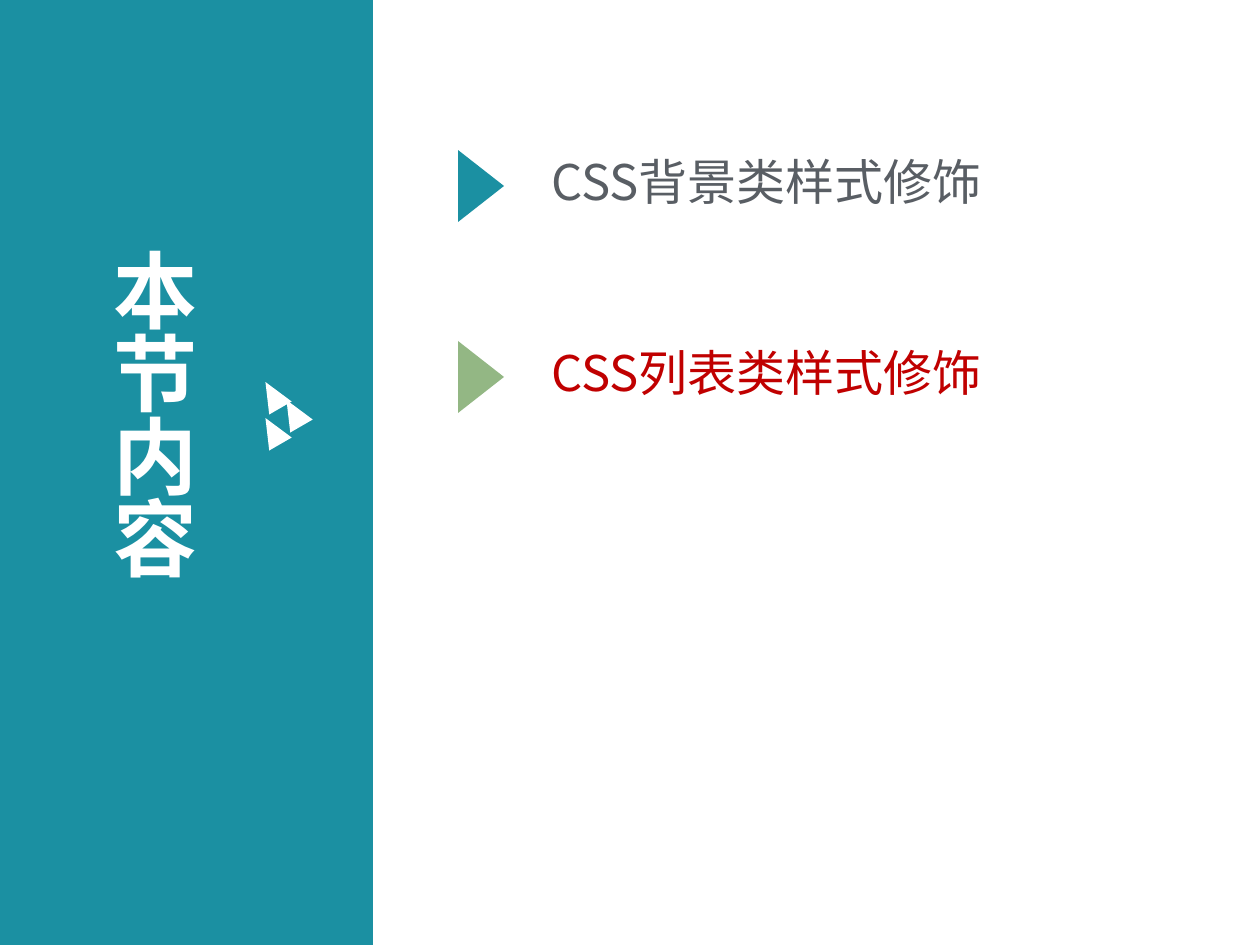
import pptx
import pptx.util
import pptx.dml.color
import pptx.enum.shapes
import pptx.enum.text
import pptx.oxml

PX = 914400 / 126
FONT = "Noto Sans CJK SC"
TEAL = pptx.dml.color.RGBColor(0x1B, 0x90, 0xA2)
GREEN = pptx.dml.color.RGBColor(0x93, 0xB7, 0x84)
GRAY = pptx.dml.color.RGBColor(0x59, 0x5E, 0x64)
RED = pptx.dml.color.RGBColor(0xC0, 0x00, 0x00)
WHITE = pptx.dml.color.RGBColor(0xFF, 0xFF, 0xFF)
SHAPES = pptx.enum.shapes.MSO_SHAPE


def emu(*lengths):
    return [pptx.util.Emu(round(length * PX)) for length in lengths]


def add_filled(slide, kind, box, color, rotation=0):
    shape = slide.shapes.add_shape(kind, *emu(*box))
    shape.rotation = rotation
    shape.shadow.inherit = False
    shape.fill.solid()
    shape.fill.fore_color.rgb = color
    shape.line.fill.background()


def write_text(shape, text, size, color, bold=False):
    frame = shape.text_frame
    frame.word_wrap = True
    frame.auto_size = pptx.enum.text.MSO_AUTO_SIZE.NONE
    frame.vertical_anchor = pptx.enum.text.MSO_ANCHOR.MIDDLE
    frame.text = text
    paragraph = frame.paragraphs[0]
    paragraph.alignment = pptx.enum.text.PP_ALIGN.LEFT
    paragraph.line_spacing = 0.82
    for font in (paragraph.font, paragraph.runs[0].font):
        font.name = FONT
    paragraph.font.size = pptx.util.Pt(size)
    paragraph.font.bold = bold
    paragraph.font.color.rgb = color
    properties = paragraph.runs[0]._r.get_or_add_rPr()
    east_asian = pptx.oxml.parse_xml(
        '<a:ea xmlns:a="http://schemas.openxmlformats.org/drawingml/2006/main"'
        f' typeface="{FONT}"/>')
    properties.append(east_asian)


def add_title_panel(slide, left, top, width, height):
    add_filled(slide, SHAPES.RECTANGLE, (left, top, width, height), TEAL)
    title = slide.shapes.title
    title.left, title.top, title.width, title.height = emu(left + 101, top + 212, 165, 420)
    write_text(title, "本节内容", 48, WHITE, True)
    slide.shapes._spTree.append(title._element)
    for x, y in ((260, 380), (260, 416), (281, 398)):
        add_filled(slide, SHAPES.ISOSCELES_TRIANGLE, (left + x, top + y, 26, 30), WHITE, 330)


def add_topic(slide, left, top, width, height, text, text_color, arrow_color):
    add_filled(slide, SHAPES.ISOSCELES_TRIANGLE,
               (left - 12, top + (height - 46) // 2, 72, 46), arrow_color, 90)
    label = slide.shapes.add_textbox(*emu(left + 82, top, width - 82, height))
    write_text(label, text, 28, text_color)


def main():
    presentation = pptx.Presentation()
    presentation.slide_width, presentation.slide_height = emu(1260, 945)
    slide = presentation.slides.add_slide(presentation.slide_layouts[5])
    add_title_panel(slide, 0, 0, 373, 945)
    topics = (("CSS背景类样式修饰", GRAY, TEAL), ("CSS列表类样式修饰", RED, GREEN))
    for index, (text, text_color, arrow_color) in enumerate(topics):
        add_topic(slide, 457, 150 + 191 * index, 692, 72, text, text_color, arrow_color)
    presentation.save("out.pptx")


if __name__ == "__main__":
    main()
